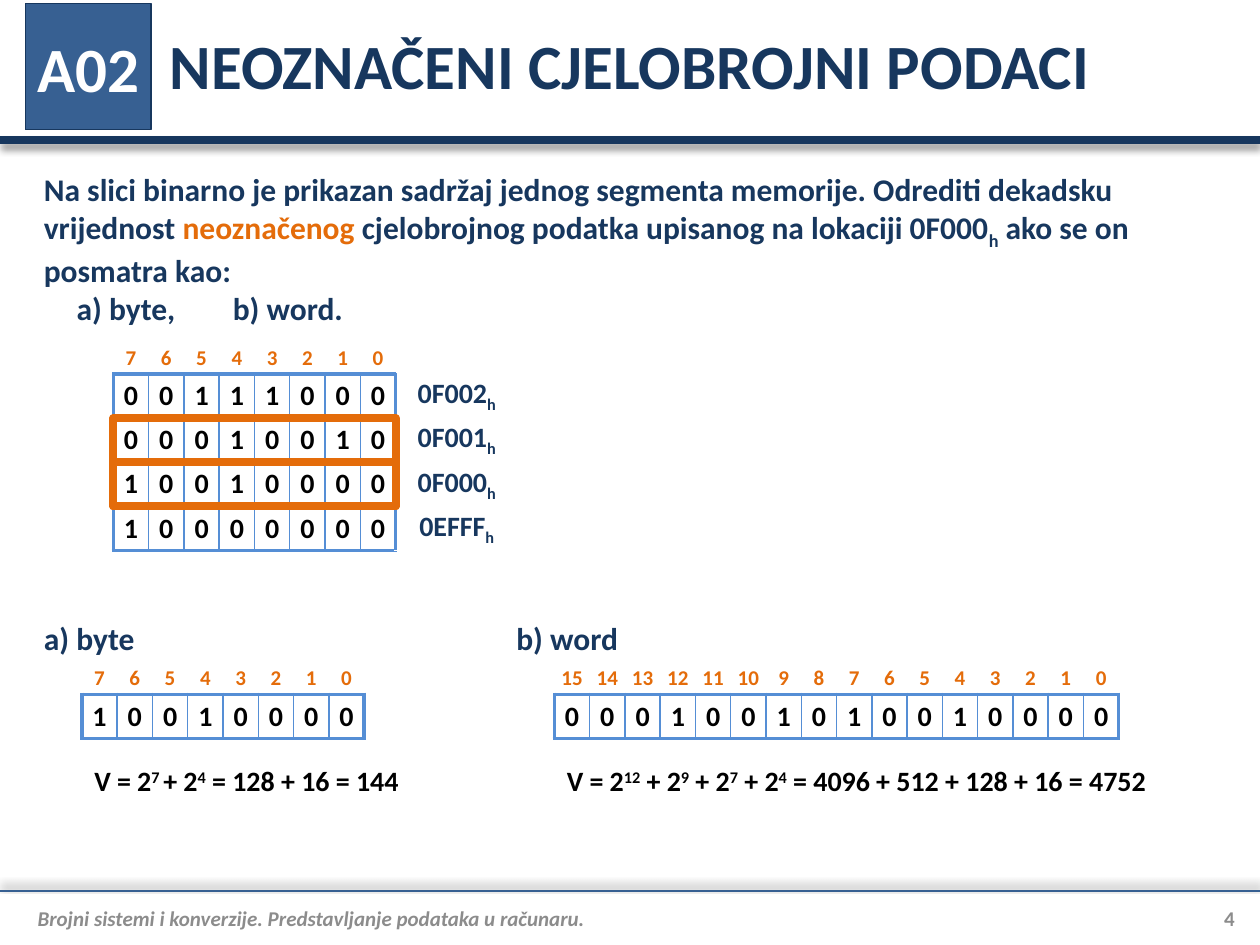
from dataclasses import dataclass

from lxml import etree
from pptx import Presentation
from pptx.dml.color import RGBColor
from pptx.enum.shapes import MSO_CONNECTOR, MSO_SHAPE
from pptx.enum.text import MSO_ANCHOR, PP_ALIGN
from pptx.oxml.ns import qn
from pptx.util import Pt

LEFT, CENTER, RIGHT = PP_ALIGN.LEFT, PP_ALIGN.CENTER, PP_ALIGN.RIGHT
TOP, MIDDLE = MSO_ANCHOR.TOP, MSO_ANCHOR.MIDDLE
RECTANGLE = MSO_SHAPE.RECTANGLE
STRAIGHT = MSO_CONNECTOR.STRAIGHT


@dataclass(frozen=True)
class Theme:
    font: str = "Calibri"
    navy: str = "17375E"
    blue: str = "376092"
    grid: str = "558ED5"
    orange: str = "E46C0A"
    gray: str = "8C8C8C"
    black: str = "000000"
    white: str = "FFFFFF"
    title: int = 36
    body: int = 18
    value: int = 16
    small: int = 12


THEME = Theme()
SLIDE_W, SLIDE_H = 720, 540
BIT_W, BIT_H, INDEX_H, ADDRESS_W = 20.16, 25.2, 18, 72
INSETS = (7.2, 3.6, 7.2, 3.6)
NO_INSETS = (0, 0, 0, 0)
THICK, THIN = 2.25, 1
SUB, SUP, ACCENT = "sub", "sup", "accent"
BASELINES = {SUB: "-25000", SUP: "30000"}


def rgb(color):
    return RGBColor.from_string(color)


def write(paragraph, runs, size, color, align=LEFT, italic=False):
    """Fill a paragraph with strings or (string, style) pairs."""
    paragraph.alignment = align
    font = paragraph.font
    font.name, font.size, font.bold, font.italic = THEME.font, Pt(size), True, italic
    font.color.rgb = rgb(color)
    for part in runs:
        text, style = (part, None) if isinstance(part, str) else part
        run = paragraph.add_run()
        run.text = text
        if style == ACCENT:
            run.font.color.rgb = rgb(THEME.orange)
        elif style:
            run.font._element.set("baseline", BASELINES[style])


def set_frame(frame, anchor, insets):
    frame.word_wrap = True
    frame.vertical_anchor = anchor
    (frame.margin_left, frame.margin_top,
     frame.margin_right, frame.margin_bottom) = map(Pt, insets)


def add_text(slide, box, runs, size, color, anchor=TOP, insets=INSETS, **style):
    frame = slide.shapes.add_textbox(*map(Pt, box)).text_frame
    set_frame(frame, anchor, insets)
    write(frame.paragraphs[0], runs, size, color, **style)
    return frame


def add_rectangle(slide, box, line, width, fill=None):
    rectangle = slide.shapes.add_shape(RECTANGLE, *map(Pt, box))
    rectangle.shadow.inherit = False
    if fill:
        rectangle.fill.solid()
        rectangle.fill.fore_color.rgb = rgb(fill)
    else:
        rectangle.fill.background()
    rectangle.line.color.rgb = rgb(line)
    rectangle.line.width = Pt(width)
    return rectangle


def add_rule(slide, y, color, width, shadow_angle):
    """Full-width line with a soft shadow cast at the given angle."""
    rule = slide.shapes.add_connector(STRAIGHT, 0, Pt(y), Pt(SLIDE_W), Pt(y))
    rule.line.color.rgb = rgb(color)
    rule.line.width = Pt(width)
    effects = etree.SubElement(rule._element.spPr, qn("a:effectLst"))
    shadow = etree.SubElement(effects, qn("a:outerShdw"), blurRad=str(Pt(4)),
                              dist=str(Pt(3)), dir=str(shadow_angle * 60000),
                              algn="t", rotWithShape="0")
    tint = etree.SubElement(shadow, qn("a:srgbClr"), val=THEME.black)
    etree.SubElement(tint, qn("a:alpha"), val="40000")


def set_borders(cell, **sides):
    """Each side L, R, T, B is a (colour, width) pair."""
    properties = cell._tc.get_or_add_tcPr()
    for order, side in enumerate("LRTB"):
        color, width = sides[side]
        line = etree.Element(qn(f"a:ln{side}"), w=str(Pt(width)))
        fill = etree.SubElement(line, qn("a:solidFill"))
        etree.SubElement(fill, qn("a:srgbClr"), val=color)
        properties.insert(order, line)


def fill_cell(cell, runs, size, color, **borders):
    cell.fill.background()
    cell.vertical_anchor = MIDDLE
    cell.margin_left = cell.margin_top = cell.margin_right = cell.margin_bottom = 0
    write(cell.text_frame.paragraphs[0], runs, size, color, CENTER)
    set_borders(cell, **borders)


def add_bit_table(slide, left, top, words, addresses=()):
    """Bit indices over one row per binary word, with optional addresses."""
    bits = len(words[0])
    widths = [BIT_W] * bits + [ADDRESS_W] * bool(addresses)
    heights = [INDEX_H] + [BIT_H] * len(words)
    table = slide.shapes.add_table(len(heights), len(widths), Pt(left), Pt(top),
                                   Pt(sum(widths)), Pt(sum(heights))).table
    table.first_row = table.horz_banding = False
    for column, width in zip(table.columns, widths):
        column.width = Pt(width)
    for row, height in zip(table.rows, heights):
        row.height = Pt(height)

    blank, thick, thin = (THEME.white, THIN), (THEME.grid, THICK), (THEME.grid, THIN)
    for col in range(bits):
        fill_cell(table.cell(0, col), [str(bits - 1 - col)], THEME.small, THEME.orange,
                  L=blank, R=blank, T=blank, B=thick)
        for row, word in enumerate(words, 1):
            fill_cell(table.cell(row, col), [word[col]], THEME.value, THEME.black,
                      L=thin if col else thick,
                      R=thin if col < bits - 1 else thick, T=thick, B=thick)
    if addresses:
        fill_cell(table.cell(0, bits), [], THEME.small, THEME.navy,
                  L=blank, R=blank, T=blank, B=blank)
    for row, address in enumerate(addresses, 1):
        fill_cell(table.cell(row, bits), [address, ("h ", SUB)], THEME.value,
                  THEME.navy, L=thick, R=blank, T=blank, B=blank)


def add_header(slide, box, code, title):
    left, top, width, height = box
    add_rule(slide, top + height + 5.8, THEME.navy, 4.5, 90)
    add_text(slide, (left + 75.6, top - 1.4, width - 75.6, height), [title],
             THEME.title, THEME.navy, MIDDLE)
    badge = add_rectangle(slide, (left, top, height, height), THEME.navy, 0.75, THEME.blue)
    set_frame(badge.text_frame, MIDDLE, NO_INSETS)
    label = badge.text_frame.paragraphs[0]
    label.space_before = Pt(7.2)
    write(label, [code], THEME.title, THEME.white, CENTER)


def add_footer(slide, box, subject, number):
    left, top, width, height = box
    add_rule(slide, top - 2.9, THEME.blue, 1.5, 270)
    add_text(slide, (left, top, width - 36, height), [subject], THEME.small,
             THEME.gray, MIDDLE, (7.2, 0, 0, 0), italic=True)
    add_text(slide, (left + width - 36, top, 36, height), [number], THEME.small,
             THEME.gray, MIDDLE, NO_INSETS, align=RIGHT)


def add_task(slide, box, question, options, tabs):
    frame = add_text(slide, box, question, THEME.body, THEME.navy)
    choices = frame.add_paragraph()
    write(choices, options, THEME.body, THEME.navy)
    stops = etree.Element(qn("a:tabLst"))
    for position in tabs:
        etree.SubElement(stops, qn("a:tab"), pos=str(Pt(position)), algn="l")
    choices._p.get_or_add_pPr().insert(0, stops)


def add_memory(slide, left, top, words, addresses, first_marked):
    """Memory segment; the word and its low byte are outlined."""
    add_bit_table(slide, left, top, words, addresses)
    y = top + INDEX_H + first_marked * BIT_H
    width = BIT_W * len(words[0])
    add_rectangle(slide, (left, y + BIT_H, width, BIT_H), THEME.orange, 4.5)
    add_rectangle(slide, (left, y, width, 2 * BIT_H), THEME.orange, 4.5)


def add_solution(slide, box, heading, word, formula):
    left, top, width, height = box
    add_text(slide, (left, top, 80, 28.8), [heading], THEME.body, THEME.navy)
    add_bit_table(slide, left + 28.8, top + 28.8, [word])
    add_text(slide, (left + 28.8, top + height - 26.6, width - 28.8, 26.6), formula,
             THEME.value, THEME.black)


def main():
    deck = Presentation()
    deck.slide_width, deck.slide_height = Pt(SLIDE_W), Pt(SLIDE_H)
    slide = deck.slides.add_slide(deck.slide_layouts[6])

    add_header(slide, (14.4, 2.2, 691.2, 72), "A02", "NEOZNAČENI CJELOBROJNI PODACI")
    add_footer(slide, (14.4, 512, 691.2, 25.2),
               "Brojni sistemi i konverzije. Predstavljanje podataka u računaru.", "4")
    add_task(slide, (18, 93.6, 678, 94.3),
             ["Na slici binarno je prikazan sadržaj jednog segmenta memorije. "
              "Odrediti dekadsku vrijednost ", ("neoznačenog", ACCENT),
              " cjelobrojnog podatka upisanog na lokaciji 0F000", ("h", SUB),
              " ako se on posmatra kao:"],
             ["\ta) byte,\tb) word."], (18.72, 108))

    low, high = "10010000", "00010010"
    add_memory(slide, 64.8, 195.8, ["00111000", high, low, "10000000"],
               ["0F002", "0F001", "0F000", "0EFFF"], first_marked=1)
    add_solution(slide, (18, 350, 230.4, 109.4), "a) byte", low,
                 ["V = 2", ("7 ", SUP), "+ 2", ("4", SUP), " = 128 + 16 = 144"])
    add_solution(slide, (288, 350, 396, 109.4), "b) word", high + low,
                 ["V = 2", ("12", SUP), " + 2", ("9", SUP), " + 2", ("7", SUP),
                  " + 2", ("4", SUP), " = 4096 + 512 + 128 + 16 = 4752"])
    deck.save("out.pptx")


if __name__ == "__main__":
    main()
